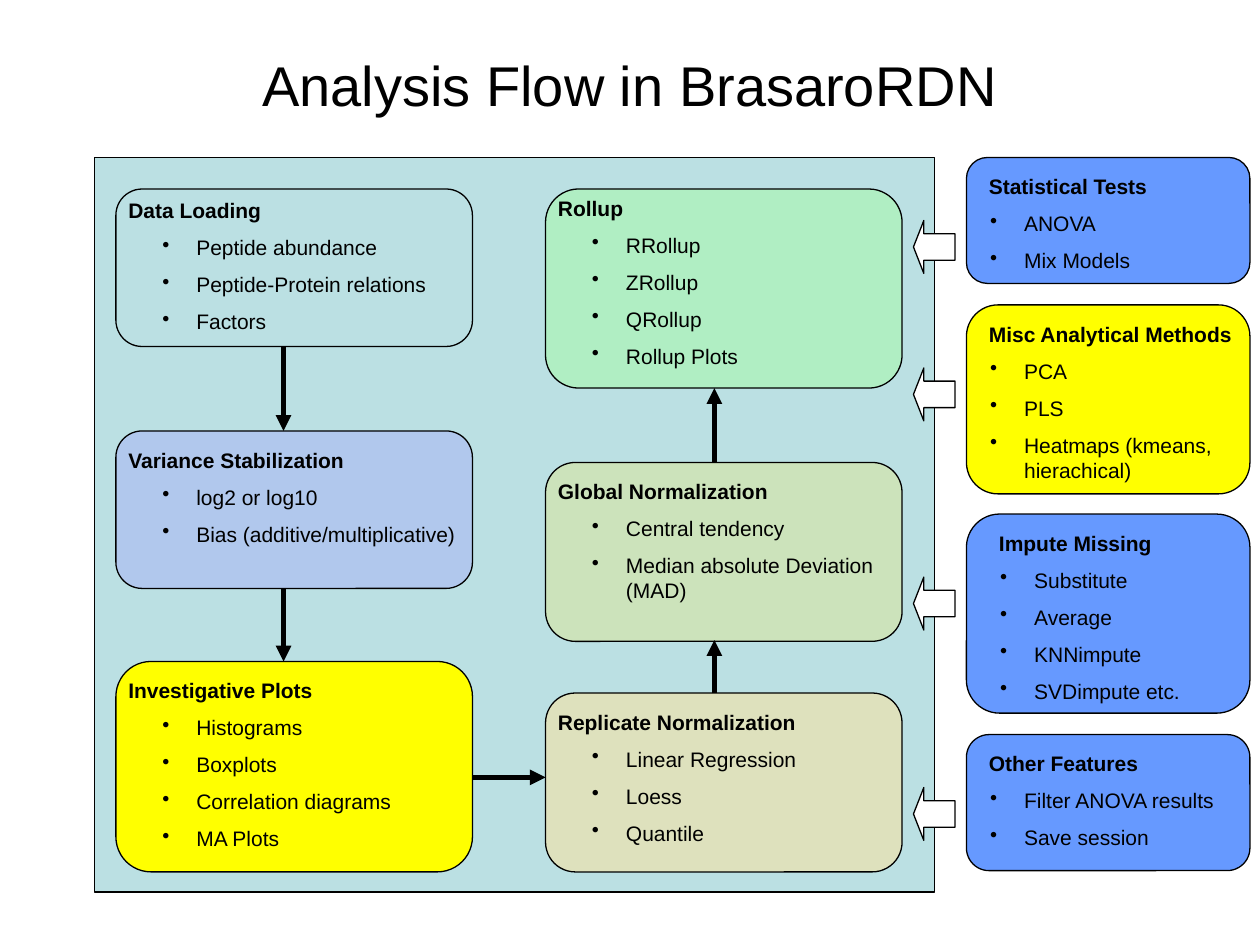
from lxml.etree import SubElement
from pptx import Presentation
from pptx.dml.color import RGBColor
from pptx.enum.shapes import MSO_CONNECTOR, MSO_SHAPE
from pptx.enum.text import MSO_ANCHOR, PP_ALIGN
from pptx.oxml.ns import qn
from pptx.util import Inches, Pt

BLACK = RGBColor(0x00, 0x00, 0x00)
WHITE = RGBColor(0xFF, 0xFF, 0xFF)
PALE_TEAL = RGBColor(0xBB, 0xE0, 0xE3)
PERIWINKLE = RGBColor(0xB1, 0xC8, 0xED)
YELLOW = RGBColor(0xFF, 0xFF, 0x00)
MINT = RGBColor(0xB0, 0xEE, 0xC3)
SAGE = RGBColor(0xCC, 0xE3, 0xBB)
KHAKI = RGBColor(0xDE, 0xE1, 0xBD)
BLUE = RGBColor(0x66, 0x99, 0xFF)

FONT = "Arial"
TITLE = "Analysis Flow in BrasaroRDN"

# Columns: left, box width, bullet text margin
LOAD = (0.92, 2.83, 0.54)
NORMALIZE = (4.33, 2.83, 0.54)
TOOLS = (7.67, 2.25, 0.28)
BULLET_HANG = 0.27

# Column, top, height, fill, text offset (x, y), heading, bullets
CARDS = [
    (LOAD, 1.5, 1.25, PALE_TEAL, (0, 0.02), "Data Loading",
     ["Peptide abundance", "Peptide-Protein relations", "Factors"]),
    (LOAD, 3.42, 1.25, PERIWINKLE, (0, 0.08), "Variance Stabilization",
     ["log2 or log10", "Bias (additive/multiplicative)"]),
    (LOAD, 5.25, 1.67, YELLOW, (0, 0.08), "Investigative Plots",
     ["Histograms", "Boxplots", "Correlation diagrams", "MA Plots"]),
    (NORMALIZE, 1.5, 1.58, MINT, (0, 0), "Rollup",
     ["RRollup", "ZRollup", "QRollup", "Rollup Plots"]),
    (NORMALIZE, 3.67, 1.42, SAGE, (0, 0.08), "Global Normalization",
     ["Central tendency", "Median absolute Deviation (MAD)"]),
    (NORMALIZE, 5.5, 1.42, KHAKI, (0, 0.08), "Replicate Normalization",
     ["Linear Regression", "Loess", "Quantile"]),
    (TOOLS, 1.25, 1, BLUE, (0.08, 0.08), "Statistical Tests",
     ["ANOVA", "Mix Models"]),
    (TOOLS, 2.42, 1.5, YELLOW, (0.08, 0.08), "Misc Analytical Methods",
     ["PCA", "PLS", "Heatmaps (kmeans, hierachical)"]),
    (TOOLS, 4.08, 1.58, BLUE, (0.16, 0.08), "Impute Missing",
     ["Substitute", "Average", "KNNimpute", "SVDimpute etc."]),
    (TOOLS, 5.83, 1.08, BLUE, (0.08, 0.08), "Other Features",
     ["Filter ANOVA results", "Save session"]),
]

FLOW_ARROWS = [
    ((2.25, 2.75), (2.25, 3.42)),
    ((2.25, 4.67), (2.25, 5.25)),
    ((3.75, 6.17), (4.33, 6.17)),
    ((5.67, 5.5), (5.67, 5.08)),
    ((5.67, 3.67), (5.67, 3.08)),
]
TOOL_ARROW_TOPS = [1.75, 2.92, 4.58, 6.25]


def add_box(s, kind, left, top, width, height, fill):
    sp = s.shapes.add_shape(kind, Inches(left), Inches(top), Inches(width), Inches(height))
    sp.shadow.inherit = False
    sp.fill.solid()
    sp.fill.fore_color.rgb = fill
    sp.line.color.rgb = BLACK
    sp.line.width = Pt(0.75)
    return sp


def add_text_frame(s, left, top, width, height):
    tf = s.shapes.add_textbox(Inches(left), Inches(top), Inches(width), Inches(height)).text_frame
    tf.word_wrap = True
    return tf


def add_run(p, text, size, bold=False):
    r = p.add_run()
    r.text = text
    r.font.name = FONT
    r.font.size = Pt(size)
    r.font.bold = bold
    r.font.color.rgb = BLACK


def set_bullet(p, margin):
    pPr = p._p.get_or_add_pPr()
    pPr.set("marL", str(Inches(margin)))
    pPr.set("indent", str(-Inches(BULLET_HANG)))
    SubElement(pPr, qn("a:buChar")).set("char", "•")


def add_card(s, column, top, height, fill, offset, heading, bullets):
    left, width, margin = column
    dx, dy = offset
    add_box(s, MSO_SHAPE.FLOWCHART_ALTERNATE_PROCESS, left, top, width, height, fill)
    tf = add_text_frame(s, left + dx, top + dy, width - dx, height - dy)
    tf.margin_right = Inches(0.05)
    add_run(tf.paragraphs[0], heading, 12, bold=True)
    for bullet in bullets:
        p = tf.add_paragraph()
        p.space_before = Pt(6.75)
        set_bullet(p, margin)
        add_run(p, bullet, 12)


def add_flow_arrow(s, start, end):
    line = s.shapes.add_connector(MSO_CONNECTOR.STRAIGHT, *map(Inches, start + end))
    line.line.color.rgb = BLACK
    line.line.width = Pt(3)
    SubElement(line.line._get_or_add_ln(), qn("a:tailEnd")).set("type", "triangle")
    SubElement(line._element.spPr, qn("a:effectLst"))


def main():
    prs = Presentation()
    prs.slide_width, prs.slide_height = Inches(10), Inches(7.5)
    s = prs.slides.add_slide(prs.slide_layouts[6])

    add_box(s, MSO_SHAPE.RECTANGLE, 0.75, 1.25, 6.67, 5.83, PALE_TEAL)
    tf = add_text_frame(s, 0.5, 0.08, 9, 1.17)
    tf.vertical_anchor = MSO_ANCHOR.MIDDLE
    tf.paragraphs[0].alignment = PP_ALIGN.CENTER
    add_run(tf.paragraphs[0], TITLE, 32)

    for card in CARDS:
        add_card(s, *card)
    for start, end in FLOW_ARROWS:
        add_flow_arrow(s, start, end)
    for top in TOOL_ARROW_TOPS:
        arrow = add_box(s, MSO_SHAPE.LEFT_ARROW, 7.25, top, 0.33, 0.42, WHITE)
        arrow.adjustments[0] = 0.5
        arrow.adjustments[1] = 0.25

    prs.save("out.pptx")


if __name__ == "__main__":
    main()
